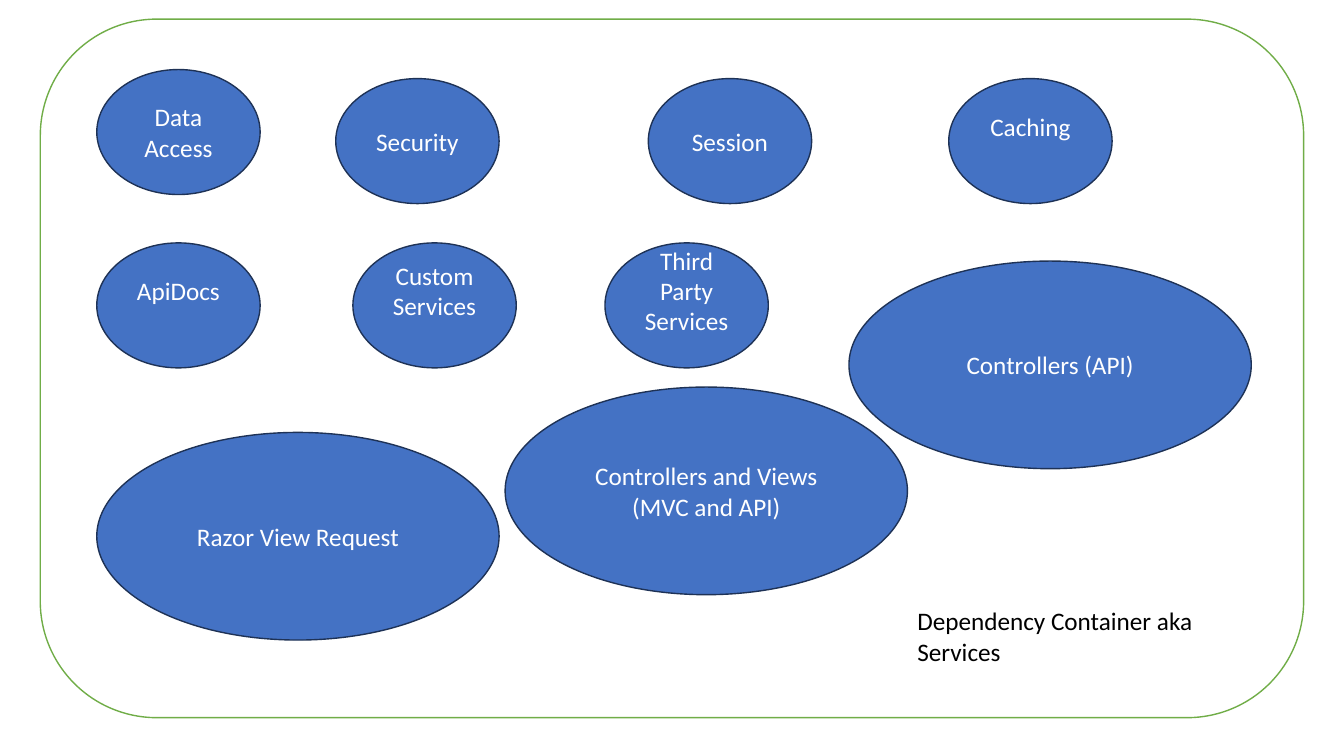
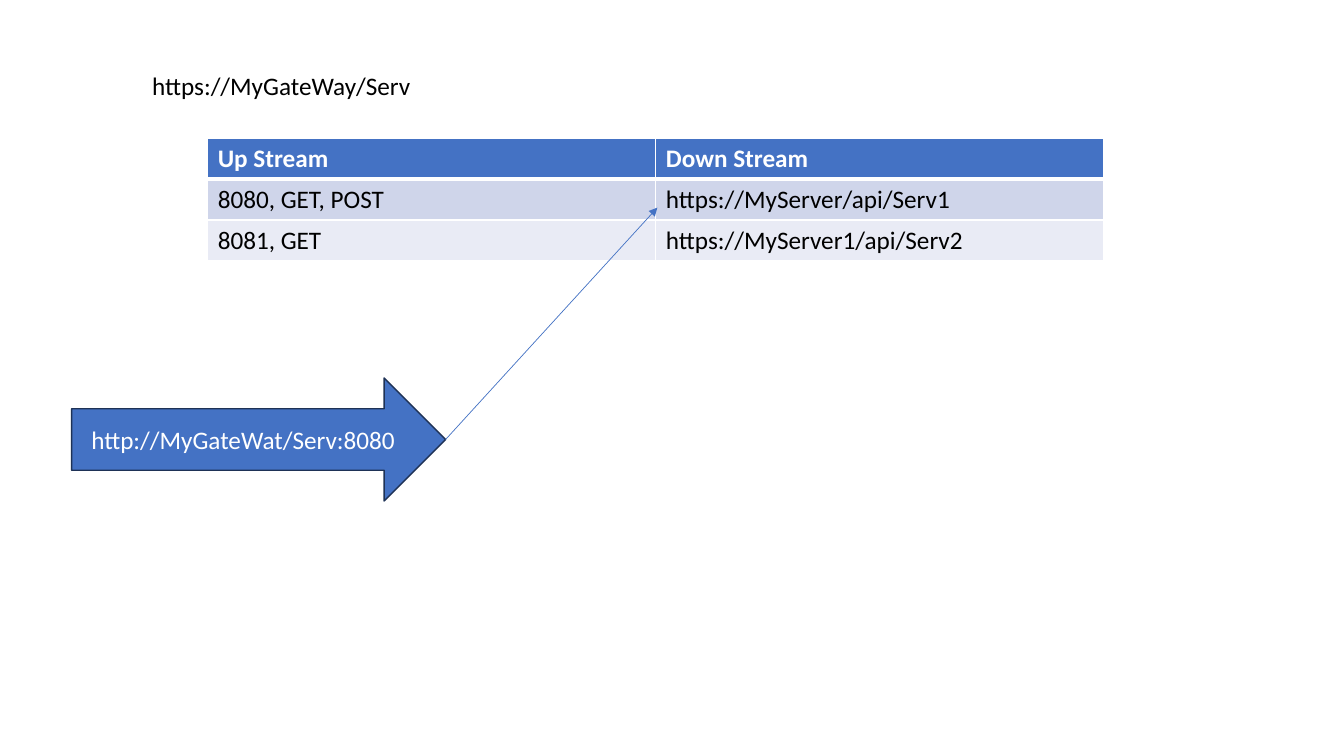
from pptx import Presentation
from pptx.dml.color import RGBColor
from pptx.enum.shapes import MSO_CONNECTOR as Link, MSO_SHAPE as Preset
from pptx.enum.text import MSO_ANCHOR as Anchor, MSO_AUTO_SIZE as AutoSize, PP_ALIGN as Align
from pptx.oxml.ns import qn
from pptx.util import Emu, Pt
from lxml.etree import SubElement

PX = 9144
FONT, SIZE = "Calibri", 18
LINE_HEIGHT = 30
BLUE, NAVY, GREEN = "4472C4", "1E3256", "70AD47"
WHITE, BLACK = "FFFFFF", "000000"
STRIPES = ["CFD5EA", "E9EBF5"]

SMALL, LARGE = (162, 124), (399, 206)
SERVICES = [
    (56, 50, SMALL, ["Data Access"], 0),
    (293, 59, SMALL, ["Security"], 0),
    (603, 59, SMALL, ["Session"], 0),
    (901, 59, SMALL, ["Caching"], 1),
    (56, 222, SMALL, ["ApiDocs"], 1),
    (310, 222, SMALL, ["Custom", "Services"], 1),
    (560, 222, SMALL, ["Third Party", "Services"], 1),
    (56, 410, LARGE, ["Razor View Request"], 0),
    (461, 365, LARGE, ["Controllers and Views (MVC and API)"], 0),
    (802, 240, LARGE, ["Controllers (API)"], 0),
]
ROUTES = [
    ("Up Stream", "Down Stream"),
    ("8080, GET, POST", "https://MyServer/api/Serv1"),
    ("8081, GET", "https://MyServer1/api/Serv2"),
]


def px(*lengths):
    return [Emu(length * PX) for length in lengths]


def color(value):
    return RGBColor.from_string(value)


def write(frame, lines, ink, align=Align.LEFT, bold=False):
    for i, line in enumerate(lines):
        paragraph = frame.add_paragraph() if i else frame.paragraphs[0]
        paragraph.alignment = align
        run = paragraph.add_run()
        run.text = line
        run.font.name, run.font.size, run.font.bold = FONT, Pt(SIZE), bold
        run.font.color.rgb = color(ink)


def add_outlined(slide, preset, box, fill, line, lines=(), lift=0):
    shape = slide.shapes.add_shape(preset, *px(*box))
    shape.shadow.inherit = False
    shape.fill.solid()
    shape.fill.fore_color.rgb = color(fill)
    shape.line.color.rgb = color(line)
    shape.line.width = Pt(1)
    frame = shape.text_frame
    frame.word_wrap = True
    frame.vertical_anchor = Anchor.MIDDLE
    frame.margin_bottom = px(5 + lift * LINE_HEIGHT)[0]
    write(frame, lines, WHITE, Align.CENTER)
    return shape


def add_label(slide, box, text):
    frame = slide.shapes.add_textbox(*px(*box)).text_frame
    frame.word_wrap = True
    frame.auto_size = AutoSize.SHAPE_TO_FIT_TEXT
    write(frame, [text], BLACK)


def add_container(slide, box):
    left, top = box[:2]
    add_outlined(slide, Preset.ROUNDED_RECTANGLE, box, WHITE, GREEN)
    for x, y, size, lines, lift in SERVICES:
        add_outlined(slide, Preset.OVAL, (left + x, top + y, *size), BLUE, NAVY, lines, lift)
    add_label(slide, (left + 860, top + 577, 313, 71), "Dependency Container aka Services")


def underline_cell(cell, ink, width):
    border = SubElement(cell._tc.get_or_add_tcPr(), qn("a:lnB"), w=str(Pt(width)))
    fill = SubElement(border, qn("a:solidFill"))
    SubElement(fill, qn("a:srgbClr"), val=ink)


def add_routes(slide, box):
    table = slide.shapes.add_table(len(ROUTES), len(ROUTES[0]), *px(*box)).table
    for r, route in enumerate(ROUTES):
        header = r == 0
        for c, text in enumerate(route):
            cell = table.cell(r, c)
            if header:
                underline_cell(cell, WHITE, 3)
            cell.fill.solid()
            cell.fill.fore_color.rgb = color(BLUE if header else STRIPES[r - 1])
            write(cell.text_frame, [text], WHITE if header else BLACK, bold=header)


def add_request(slide, box, target):
    request = add_outlined(slide, Preset.RIGHT_ARROW, box, BLUE, NAVY, ["http://MyGateWat/Serv:8080"])
    left, top, width, height = box
    link = slide.shapes.add_connector(
        Link.STRAIGHT, *px(left + width, top + height // 2, *target))
    link.begin_connect(request, 3)
    link.line.color.rgb = color(BLUE)
    link.line.width = Pt(0.5)
    properties = link.element.spPr
    SubElement(properties.find(qn("a:ln")), qn("a:tailEnd"), type="triangle")
    SubElement(properties, qn("a:effectLst"))


def add_gateway(slide, box):
    left, top = box[:2]
    add_routes(slide, (left + 135, top + 72, 889, 122))
    add_label(slide, (left + 70, top, 458, 40), "https://MyGateWay/Serv")
    add_request(slide, (left, top + 310, 371, 122), (left + 581, top + 141))


def main():
    deck = Presentation()
    deck.slide_width, deck.slide_height = px(1333, 750)
    blank = deck.slide_layouts[6]
    add_container(deck.slides.add_slide(blank), (40, 19, 1253, 693))
    add_gateway(deck.slides.add_slide(blank), (71, 65, 1024, 432))
    deck.save("out.pptx")


if __name__ == "__main__":
    main()
